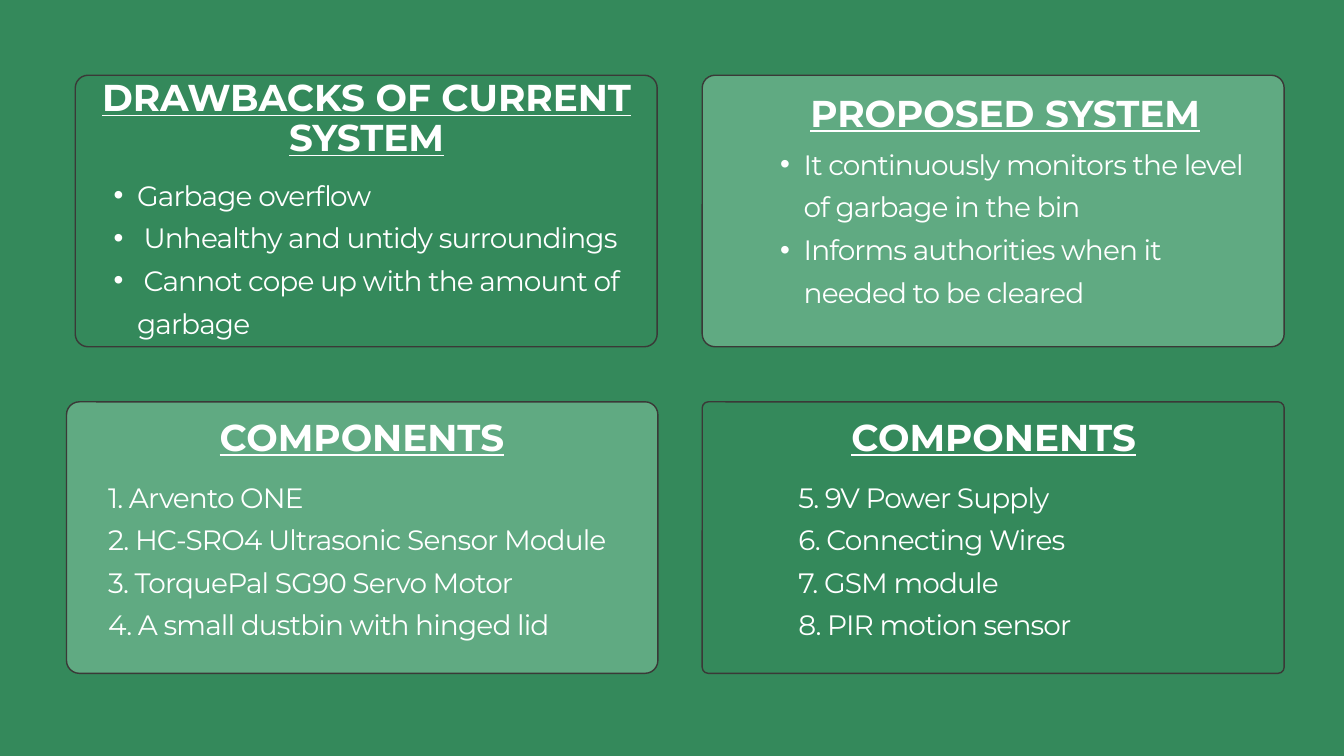
from lxml import etree
from pptx import Presentation
from pptx.dml.color import RGBColor
from pptx.enum.shapes import MSO_SHAPE
from pptx.enum.text import MSO_ANCHOR, MSO_AUTO_SIZE, PP_ALIGN
from pptx.oxml.ns import qn
from pptx.util import Inches, Pt

ROUNDED = MSO_SHAPE.ROUNDED_RECTANGLE
TOP = MSO_ANCHOR.TOP
NO_FIT = MSO_AUTO_SIZE.NONE
LEFT, CENTER = PP_ALIGN.LEFT, PP_ALIGN.CENTER

FONT = "Montserrat"
DARK, LIGHT, LINE, WHITE = "34895B", "60AA82", "3A3937", "FFFFFF"
COMPARISON_LAYOUT = 4

# Boxes are (left, top, width, height) in inches.
PANELS = [
    dict(card=(1.12, 1.12, 8.66, 4.04), fill=DARK, radius=0.19,
         heading="DRAWBACKS OF CURRENT SYSTEM", heading_box=(0.84, 1.18, 9.23, 1.21),
         items=["Garbage overflow", " Unhealthy and untidy surroundings",
                " Cannot cope up with the amount of garbage"],
         body_box=(1.33, 2.52, 8.25, 2.45), bulleted=True),
    dict(card=(10.45, 1.12, 8.66, 4.04), fill=LIGHT, radius=0.19,
         heading="PROPOSED SYSTEM", heading_box=(11.08, 1.41, 7.76, 0.61),
         items=["It continuously monitors the level of garbage in the bin",
                "Informs authorities when it needed to be cleared"],
         body_box=(11.25, 2.06, 7.42, 2.47), bulleted=True),
    dict(card=(0.99, 5.98, 8.8, 4.04), fill=LIGHT, radius=0.19,
         heading="COMPONENTS", heading_box=(1.24, 6.23, 8.29, 0.61),
         items=["1. Arvento ONE", "2. HC-SRO4 Ultrasonic Sensor Module",
                "3. TorquePal SG90 Servo Motor", "4. A small dustbin with hinged lid"],
         body_box=(1.61, 7.01, 8.1, 2.6), bulleted=False),
    dict(card=(10.45, 5.98, 8.66, 4.04), fill=DARK, radius=0.09,
         heading="COMPONENTS", heading_box=(10.64, 6.23, 8.29, 0.61),
         items=["5. 9V Power Supply", "6. Connecting Wires",
                "7. GSM module", "8. PIR motion sensor"],
         body_box=(11.88, 7.01, 7.1, 2.6), bulleted=False),
]


def rgb(value):
    return RGBColor.from_string(value)


def place(sp, box):
    sp.left, sp.top, sp.width, sp.height = map(Inches, box)


def add_card(slide, box, fill, radius, layer):
    """Add a rounded card below the placeholders, at the given layer."""
    sp = slide.shapes.add_shape(ROUNDED, *map(Inches, box))
    sp.adjustments[0] = radius / min(box[2:])
    sp.shadow.inherit = False
    sp.fill.solid()
    sp.fill.fore_color.rgb = rgb(fill)
    sp.line.color.rgb = rgb(LINE)
    sp.line.width = Pt(1.5)
    tree = sp._element.getparent()
    tree.insert(2 + layer, sp._element)


def set_bullet(p, bulleted):
    pPr = p._p.get_or_add_pPr()
    pPr.set("marL", str(Inches(0.71 if bulleted else 0)))
    pPr.set("indent", str(Inches(-0.35 if bulleted else 0)))
    if bulleted:
        etree.SubElement(pPr, qn("a:buFont")).set("typeface", "Arial")
        etree.SubElement(pPr, qn("a:buChar")).set("char", "•")
    else:
        etree.SubElement(pPr, qn("a:buNone"))


def write(sp, box, lines, size, spacing, heading=False, bulleted=False):
    place(sp, box)
    tf = sp.text_frame
    tf.text = "\n".join(lines)
    tf.word_wrap = True
    tf.auto_size = NO_FIT
    tf.vertical_anchor = TOP
    tf.margin_left = tf.margin_top = tf.margin_right = tf.margin_bottom = 0
    for p in tf.paragraphs:
        set_bullet(p, bulleted)
        p.alignment = CENTER if heading else LEFT
        p.line_spacing = Pt(spacing)
        p.space_before = Pt(0)
        for r in p.runs:
            r.font.name = FONT
            r.font.size = Pt(size)
            r.font.bold = r.font.underline = heading
            r.font.color.rgb = rgb(WHITE)
            if not heading:
                r._r.get_or_add_rPr().set("spc", "-90")


def main():
    prs = Presentation()
    prs.slide_width, prs.slide_height = Inches(20), Inches(11.25)
    slide = prs.slides.add_slide(prs.slide_layouts[COMPARISON_LAYOUT])
    slide.background.fill.solid()
    slide.background.fill.fore_color.rgb = rgb(DARK)

    title, *bodies = list(slide.placeholders)
    for i, (panel, body) in enumerate(zip(PANELS, bodies)):
        add_card(slide, panel["card"], panel["fill"], panel["radius"], i)
        heading = title if i == 0 else slide.shapes.add_textbox(0, 0, 0, 0)
        write(heading, panel["heading_box"], [panel["heading"]], 40, 42.8, heading=True)
        write(body, panel["body_box"], panel["items"], 30, 45.6,
              bulleted=panel["bulleted"])

    prs.save("out.pptx")


if __name__ == "__main__":
    main()
